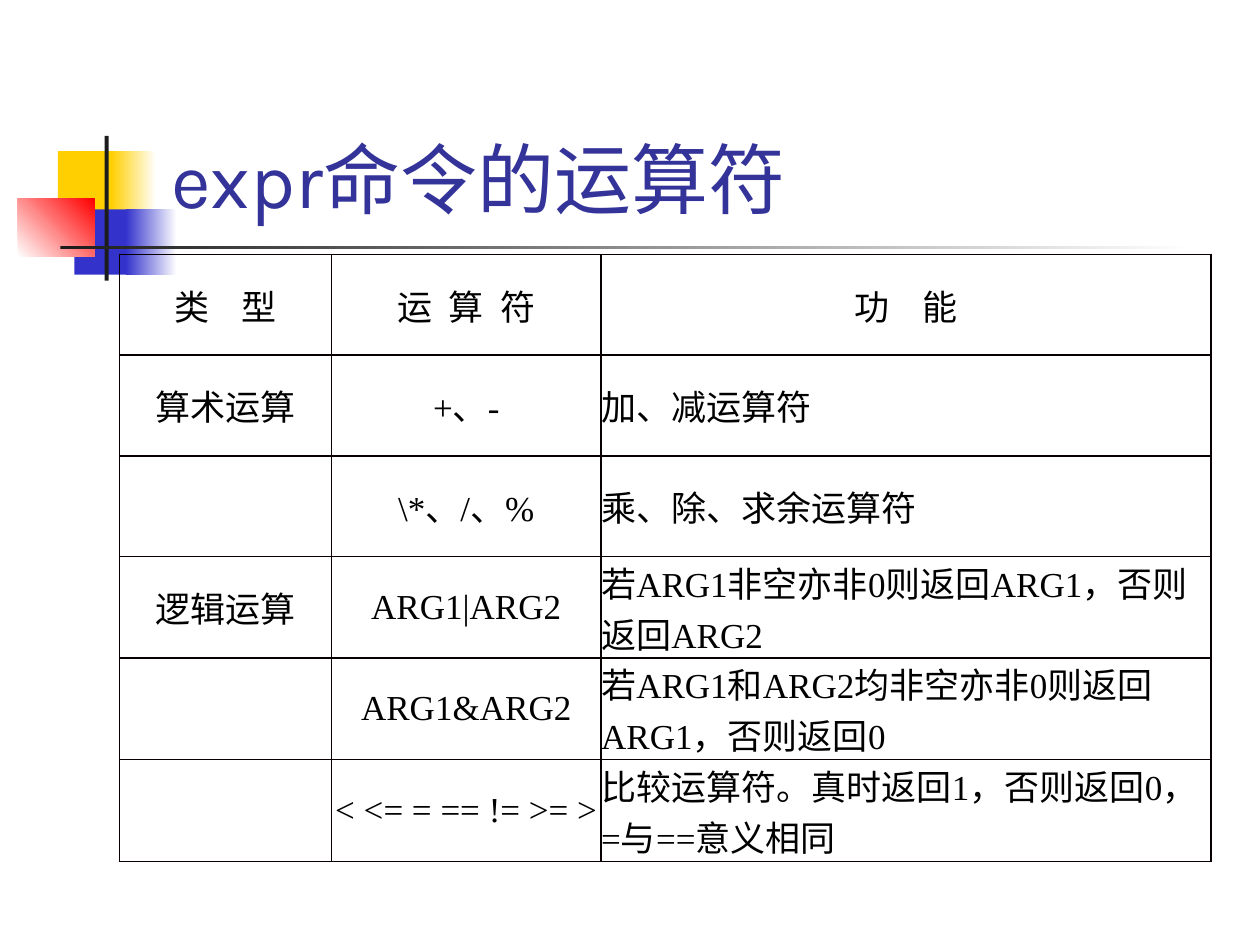
from itertools import groupby

from lxml.etree import SubElement
from pptx import Presentation
from pptx.dml.color import RGBColor
from pptx.enum.shapes import MSO_SHAPE
from pptx.enum.text import MSO_ANCHOR, MSO_AUTO_SIZE, PP_ALIGN
from pptx.oxml.ns import qn
from pptx.util import Cm, Pt

COLORS = {
    "yellow": "FFCF01", "blue": "3333CC", "red": "FF0000", "white": "FFFFFF",
    "dark": "1C1C1C", "title": "333399", "text": "000000", "border": "080000",
}
LATIN_FONT, CHINESE_FONT, TITLE_FONT = "Times New Roman", "Noto Sans CJK SC", "Karla"

# left, top, width, height in cm, then one colour or a gradient, then its angle
ORNAMENTS = [
    (1.17, 3.05, 1.22, 1.32, ["yellow"], 0),
    (2.24, 3.05, 0.91, 1.32, ["yellow", "white"], 0),
    (1.5, 4.22, 1.17, 1.32, ["blue"], 0),
    (2.54, 4.22, 1.02, 1.32, ["blue", "white"], 0),
    (0.36, 4.01, 1.55, 1.17, ["white", "red"], 45),
    (2.11, 2.74, 0.08, 2.92, ["dark"], 0),
    (1.22, 4.95, 22.86, 0.08, ["dark", "white"], 0),
]
COLUMN_WIDTHS = [4.27, 5.44, 12.29]
ROW_HEIGHT = 2.03
HEADER_SPACING = [7, 2.5, 7]
ROWS = [
    ["类 型", "运 算 符", "功 能"],
    ["算术运算", "+、-", "加、减运算符"],
    ["", "\\*、/、%", "乘、除、求余运算符"],
    ["逻辑运算", "ARG1|ARG2", "若ARG1非空亦非0则返回ARG1，否则返回ARG2"],
    ["", "ARG1&ARG2", "若ARG1和ARG2均非空亦非0则返回ARG1，否则返回0"],
    ["", "< <= = == != >= >", "比较运算符。真时返回1，否则返回0， =与==意义相同"],
]


def rgb(name):
    return RGBColor.from_string(COLORS[name])


def apply(target, values):
    for name, value in values.items():
        setattr(target, name, value)


class SlideBuilder:
    cell_format = {
        "margin_left": 0, "margin_right": 0, "margin_top": 0, "margin_bottom": 0,
        "vertical_anchor": MSO_ANCHOR.MIDDLE,
    }
    table_format = {"first_row": False, "horz_banding": False}
    title_format = {
        "vertical_anchor": MSO_ANCHOR.BOTTOM,
        "auto_size": MSO_AUTO_SIZE.NONE,
        "word_wrap": True,
    }

    def __init__(self, slide):
        self.slide = slide

    def ornament(self, left, top, width, height, colors, angle):
        shape = self.slide.shapes.add_shape(
            MSO_SHAPE.RECTANGLE, Cm(left), Cm(top), Cm(width), Cm(height))
        shape.shadow.inherit = False
        shape.line.fill.background()
        if len(colors) == 1:
            shape.fill.solid()
            shape.fill.fore_color.rgb = rgb(colors[0])
            return
        shape.fill.gradient()
        shape.fill.gradient_angle = angle
        for stop, color in zip(shape.fill.gradient_stops, colors):
            stop.color.rgb = rgb(color)

    def title(self, text, left, top, width, height):
        shape = self.slide.shapes.title
        apply(shape, {"left": Cm(left), "top": Cm(top),
                      "width": Cm(width), "height": Cm(height)})
        apply(shape.text_frame, self.title_format)
        paragraph = shape.text_frame.paragraphs[0]
        paragraph.alignment = PP_ALIGN.LEFT
        self.run(paragraph, text, TITLE_FONT, 44, "title")

    def run(self, paragraph, text, font, size, color, spacing=0):
        """Add a run whose font also serves Chinese characters."""
        run = paragraph.add_run()
        run.text = text
        apply(run.font, {"name": font, "size": Pt(size), "bold": False})
        run.font.color.rgb = rgb(color)
        properties = run.font._element
        SubElement(properties, qn("a:ea"), typeface=font)
        if spacing:
            properties.set("spc", str(int(spacing * 100)))

    def table(self, rows, left, top):
        shape = self.slide.shapes.add_table(
            len(rows), len(COLUMN_WIDTHS), Cm(left), Cm(top),
            Cm(sum(COLUMN_WIDTHS)), Cm(ROW_HEIGHT * len(rows)))
        table = shape.table
        apply(table, self.table_format)
        for column, width in zip(table.columns, COLUMN_WIDTHS):
            column.width = Cm(width)
        for row_index, texts in enumerate(rows):
            table.rows[row_index].height = Cm(ROW_HEIGHT)
            for column_index, text in enumerate(texts):
                is_header = row_index == 0
                centered = is_header or column_index < 2
                spacing = HEADER_SPACING[column_index] if is_header else 0
                self.cell(table.cell(row_index, column_index), text, centered, spacing)

    def cell(self, cell, text, centered, spacing):
        apply(cell, self.cell_format)
        self.borders(cell)
        cell.fill.background()
        paragraph = cell.text_frame.paragraphs[0]
        paragraph.alignment = PP_ALIGN.CENTER if centered else PP_ALIGN.LEFT
        for is_latin, characters in groupby(text, str.isascii):
            font = LATIN_FONT if is_latin and not spacing else CHINESE_FONT
            self.run(paragraph, "".join(characters), font, 20, "text", spacing)

    def borders(self, cell):
        properties = cell._tc.get_or_add_tcPr()
        for side in ("L", "R", "T", "B"):
            line = SubElement(properties, qn(f"a:ln{side}"), w=str(Pt(1)))
            fill = SubElement(line, qn("a:solidFill"))
            SubElement(fill, qn("a:srgbClr"), val=COLORS["border"])


def main():
    presentation = Presentation()
    presentation.slide_width = Cm(25.4)
    presentation.slide_height = Cm(19.05)
    builder = SlideBuilder(presentation.slides.add_slide(presentation.slide_layouts[5]))
    for ornament in ORNAMENTS:
        builder.ornament(*ornament)
    builder.title("expr命令的运算符", 3.2, 0.58, 21.64, 4.06)
    builder.table(ROWS, 2.41, 5.13)
    presentation.save("out.pptx")


if __name__ == "__main__":
    main()
